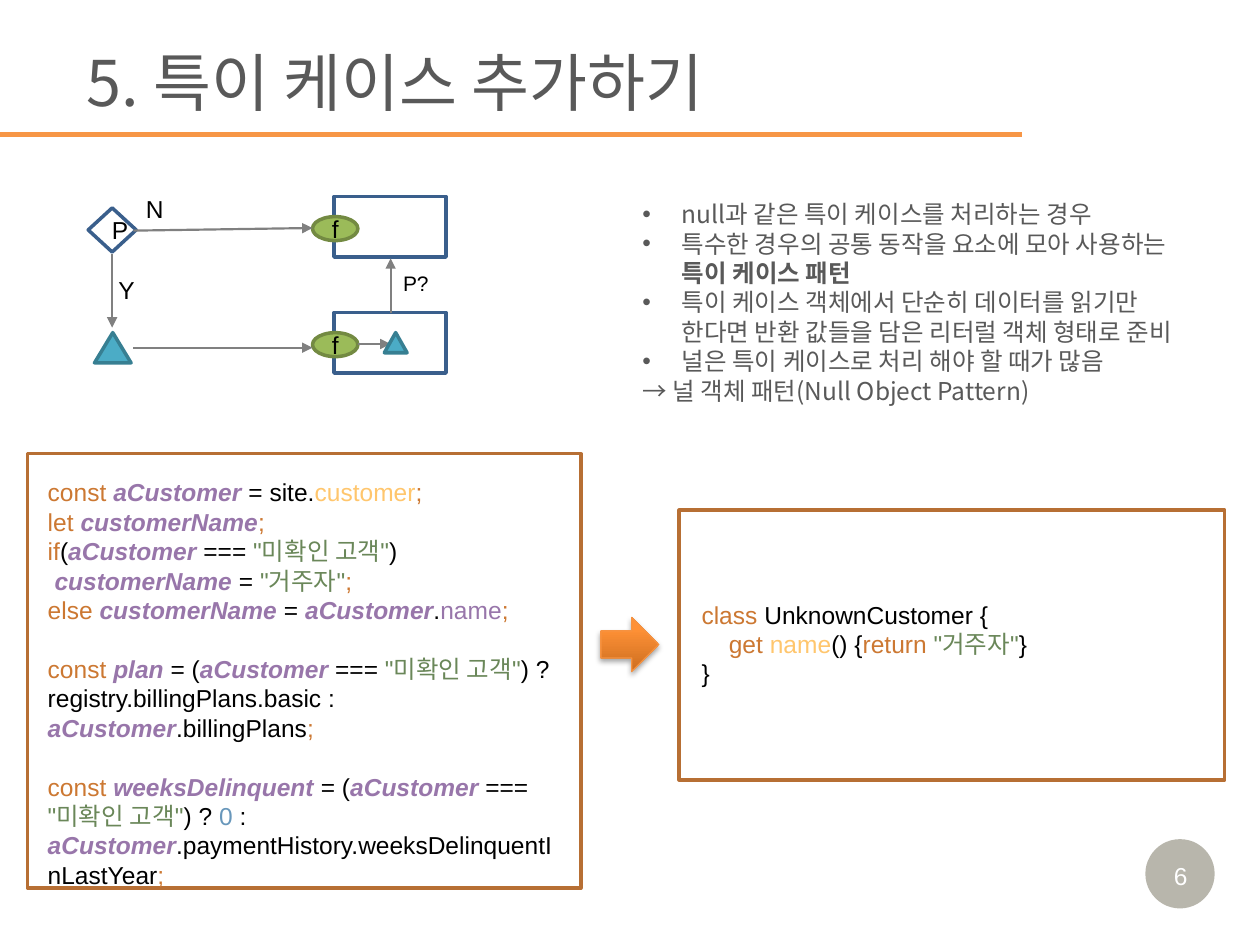
from dataclasses import dataclass

from lxml import etree
from pptx import Presentation
from pptx.dml.color import RGBColor
from pptx.enum.shapes import MSO_CONNECTOR, MSO_SHAPE
from pptx.enum.text import MSO_ANCHOR, PP_ALIGN
from pptx.oxml.ns import qn
from pptx.util import Pt

RECT, OVAL = MSO_SHAPE.RECTANGLE, MSO_SHAPE.OVAL
DIAMOND, ARROW = MSO_SHAPE.DIAMOND, MSO_SHAPE.RIGHT_ARROW
PEAK = MSO_SHAPE.ISOSCELES_TRIANGLE
STRAIGHT = MSO_CONNECTOR.STRAIGHT
MIDDLE, TOP = MSO_ANCHOR.MIDDLE, MSO_ANCHOR.TOP
CENTER, LEFT = PP_ALIGN.CENTER, PP_ALIGN.LEFT


@dataclass(frozen=True)
class Theme:
    latin: str = "Arial"
    hangul: str = "Noto Sans CJK KR"
    head: float = 36
    text: float = 14
    small: float = 12
    pitch: float = 16.8
    ink: str = "000000"
    gray: str = "595959"
    white: str = "FFFFFF"
    rule: str = "F79646"
    frame: str = "B76F34"
    blue: str = "3A5F8C"
    wire: str = "808080"
    teal: str = "4BACC6"
    pine: str = "377F92"
    lime: str = "9BBB59"
    moss: str = "738A42"
    badge: str = "4A452A"
    edge: str = "F69240"
    dark: str = "CC6E20"
    glow: str = "FF9136"
    word: str = "CC7832"
    name: str = "9876AA"
    field: str = "FFC66D"
    quote: str = "6A8759"
    digit: str = "6897BB"


T = Theme()
K, V, I, F, S, D = T.word, T.name, T.ink, T.field, T.quote, T.digit
GUEST = (S, '"미확인 고객"')
HOME = (S, '"거주자"')
END = (K, ";")


def var(text):
    return V, text, True


BUYER = var("aCustomer ")
OWNER = var("aCustomer")

CASES = [
    (0, 0, [(K, "const "), BUYER, (I, "= site."), (F, "customer"), END]),
    (0, 0, [(K, "let "), var("customerName"), END]),
    (0, 0, [(K, "if"), (I, "("), BUYER, (I, "=== "), GUEST, (I, ")")]),
    (0, 0, [var(" customerName "), (I, "= "), HOME, END]),
    (0, 0, [(K, "else "), var("customerName "), (I, "= "), OWNER,
            (I, "."), (V, "name"), END]),
    (0, 1, [(K, "const "), var("plan "), (I, "= ("), BUYER, (I, "=== "), GUEST,
            (I, ") ? registry.billingPlans.basic : "), OWNER,
            (I, ".billingPlans"), END]),
    (0, 1, [(K, "const "), var("weeksDelinquent "), (I, "= ("), BUYER,
            (I, "=== "), GUEST, (I, ") ? "), (D, "0 "), (I, ": "), OWNER,
            (I, ".paymentHistory.weeksDelinquentInLastYear"), END]),
]
CLASS = [
    (0, 0, [(K, "class "), (I, "UnknownCustomer {")]),
    (15.6, 0, [(K, "get "), (F, "name"), (I, "() {"), (K, "return "), HOME,
               (I, "}")]),
    (0, 0, [(I, "}")]),
]
NOTES = [
    (True, [("null과 같은 특이 케이스를 처리하는 경우", False)]),
    (True, [("특수한 경우의 공통 동작을 요소에 모아 사용하는 ", False),
            ("특이 케이스 패턴", True)]),
    (True, [("특이 케이스 객체에서 단순히 데이터를 읽기만 한다면 "
             "반환 값들을 담은 리터럴 객체 형태로 준비", False)]),
    (True, [("널은 특이 케이스로 처리 해야 할 때가 많음", False)]),
    (False, [("→ 널 객체 패턴(Null Object Pattern)", False)]),
]


def rgb(hue):
    return RGBColor.from_string(hue)


def node(root, tag, **keys):
    return etree.SubElement(root, qn(tag), **keys)


def add_run(para, text, hue, size=T.text, font=T.latin, bold=False, slant=False):
    run = para.add_run()
    run.text = text
    run.font.size, run.font.name = Pt(size), font
    run.font.bold, run.font.italic = bold, slant
    run.font.color.rgb = rgb(hue)
    node(run.font._element, "a:ea", typeface=T.hangul)


def add_form(slide, kind, box, fill=None, line=None, width=2, text=None):
    form = slide.shapes.add_shape(kind, *map(Pt, box))
    form.shadow.inherit = False
    if fill:
        form.fill.solid()
        form.fill.fore_color.rgb = rgb(fill)
    else:
        form.fill.background()
    if line:
        form.line.color.rgb = rgb(line)
        form.line.width = Pt(width)
    else:
        form.line.fill.background()
    if text:
        form.text_frame.vertical_anchor = MIDDLE
        para = form.text_frame.paragraphs[0]
        para.alignment = CENTER
        add_run(para, text, T.ink)
    return form


def add_wire(slide, start, end, hue=T.wire, width=1.25, tip=True):
    wire = slide.shapes.add_connector(STRAIGHT, *map(Pt, start + end))
    wire.line.color.rgb = rgb(hue)
    wire.line.width = Pt(width)
    if tip:
        node(wire.line._get_or_add_ln(), "a:tailEnd", type="triangle")
    node(wire._element.spPr, "a:effectLst")


def add_frame(slide, box, anchor=TOP, wrap=True):
    frame = slide.shapes.add_textbox(*map(Pt, box)).text_frame
    frame.word_wrap = wrap
    frame.vertical_anchor = anchor
    return frame


def add_label(slide, box, text, hue=T.ink, size=T.text, font=T.latin,
              align=LEFT, anchor=TOP, wrap=True):
    para = add_frame(slide, box, anchor, wrap).paragraphs[0]
    para.alignment = align
    add_run(para, text, hue, size, font)


def add_line(frame, first):
    para = frame.paragraphs[0] if first else frame.add_paragraph()
    para.line_spacing = Pt(T.pitch)
    return para


def add_code(slide, box, lines):
    frame = add_frame(slide, box)
    for row, (indent, gap, parts) in enumerate(lines):
        para = add_line(frame, row == 0)
        para.space_before = Pt(gap * T.pitch)
        if indent:
            para._p.get_or_add_pPr().set("marL", str(Pt(indent)))
        for hue, text, *strong in parts:
            add_run(para, text, hue, bold=bool(strong), slant=bool(strong))


def add_notes(slide, box):
    frame = add_frame(slide, box, MIDDLE)
    frame.margin_bottom = Pt(3.6 + T.pitch)
    for row, (dot, parts) in enumerate(NOTES):
        para = add_line(frame, row == 0)
        if dot:
            props = para._p.get_or_add_pPr()
            props.set("marL", str(Pt(22.5)))
            props.set("indent", str(Pt(-22.5)))
            node(props, "a:buFont", typeface=T.latin)
            node(props, "a:buChar", char="•")
        for text, bold in parts:
            add_run(para, text, T.gray, font=T.hangul, bold=bold)


def add_badge(slide):
    disk = add_form(slide, OVAL, (654.5, 479.5, 39.6, 39.6), T.badge)
    tint = disk._element.spPr.find(".//" + qn("a:srgbClr"))
    node(tint, "a:alpha", val="39000")
    add_label(slide, (658.8, 488.2, 31.7, 24.5), "6", T.white,
              align=CENTER, wrap=False)


def add_arrow(slide):
    arrow = add_form(slide, ARROW, (343.4, 352.8, 33.1, 31), line=T.edge, width=0.75)
    arrow.fill.gradient()
    arrow.fill.gradient_angle = 90
    for stop, hue, spot in zip(arrow.fill.gradient_stops, (T.dark, T.glow), (0, 0.8)):
        stop.color.rgb, stop.position = rgb(hue), spot
    list_ = arrow._element.spPr.find(qn("a:effectLst"))
    shade = node(list_, "a:outerShdw", blurRad=str(Pt(3.1)), dist=str(Pt(1.8)),
                 dir="5400000", rotWithShape="0")
    node(node(shade, "a:srgbClr", val=T.ink), "a:alpha", val="35000")


def add_flow(slide):
    add_form(slide, DIAMOND, (50.4, 118.8, 27.4, 25.2), line=T.blue, text="P")
    for top in (112.3, 178.6):
        add_form(slide, RECT, (190.8, top, 64.1, 34.6), line=T.blue)
    for top in (123.8, 190.1):
        add_form(slide, OVAL, (178.6, top, 25.9, 13.7), T.lime, T.moss, text="f")
    for start, end in (((76.3, 131.8), (178.6, 130.3)),
                       ((64.1, 145.4), (64.1, 187.2)),
                       ((76.3, 198.7), (178.6, 198.7)),
                       ((204.5, 196.6), (223.2, 196.6)),
                       ((223.2, 178.6), (223.2, 147.6))):
        add_wire(slide, start, end)
    for box in ((54, 190.1, 20.9, 17.3), (219.6, 190.1, 13, 11.5)):
        add_form(slide, PEAK, box, T.teal, T.pine)
    add_label(slide, (76.3, 107.3, 28.1, 24.5), "N")
    add_label(slide, (60.5, 153.4, 28.1, 24.5), "Y")
    add_label(slide, (223.2, 151.2, 44.6, 21.6), "P?", size=T.small)


def main():
    deck = Presentation()
    deck.slide_width, deck.slide_height = Pt(720), Pt(540)
    slide = deck.slides.add_slide(deck.slide_layouts[6])
    add_badge(slide)
    add_label(slide, (42.5, 20.9, 677.5, 51.1), "5. 특이 케이스 추가하기",
              T.gray, T.head, T.hangul, anchor=MIDDLE)
    add_wire(slide, (0, 77), (584, 77), T.rule, 3, False)
    add_form(slide, RECT, (15.8, 259.2, 316.1, 248.4), line=T.frame)
    add_form(slide, RECT, (388.1, 291.6, 311.8, 154.1), line=T.frame)
    add_arrow(slide)
    add_notes(slide, (360, 105.8, 332.6, 150.5))
    add_flow(slide)
    add_code(slide, (393.8, 339.1, 212.4, 58.3), CLASS)
    add_code(slide, (20.2, 269.3, 307.4, 227.5), CASES)
    deck.save("out.pptx")


if __name__ == "__main__":
    main()
